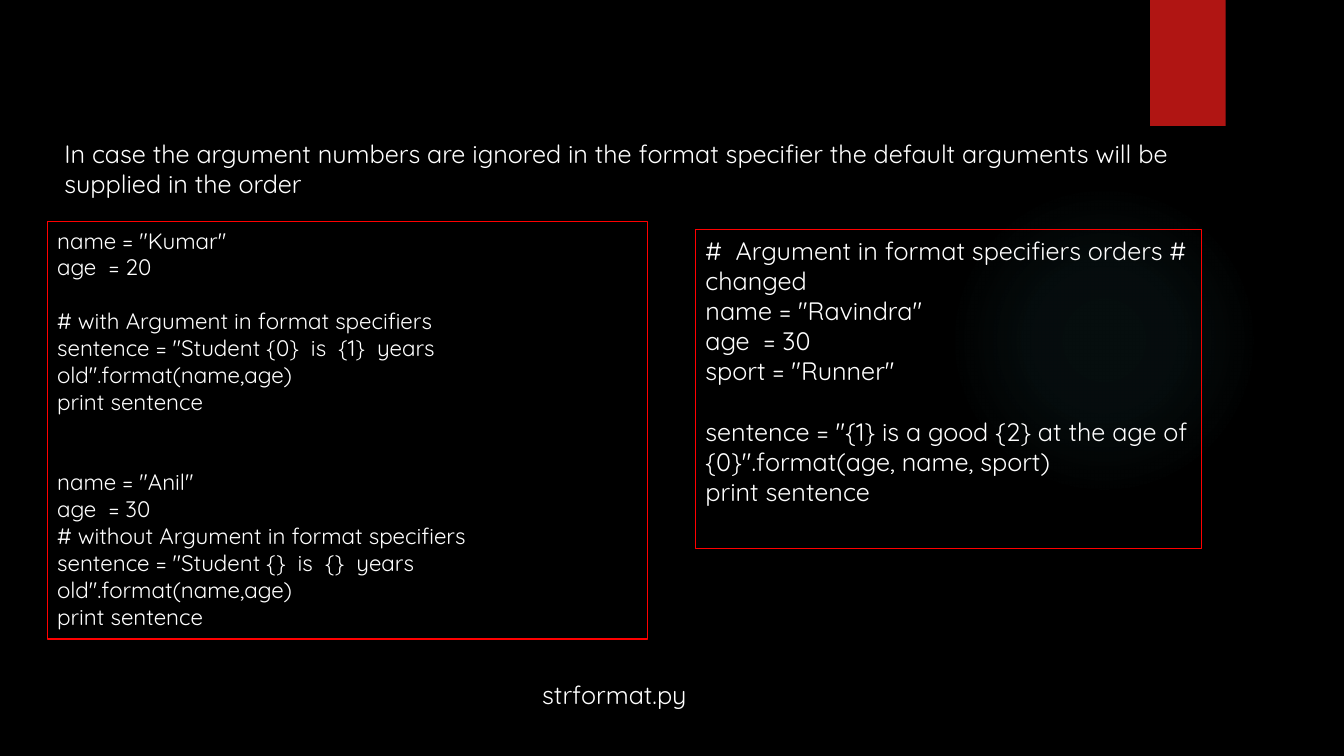
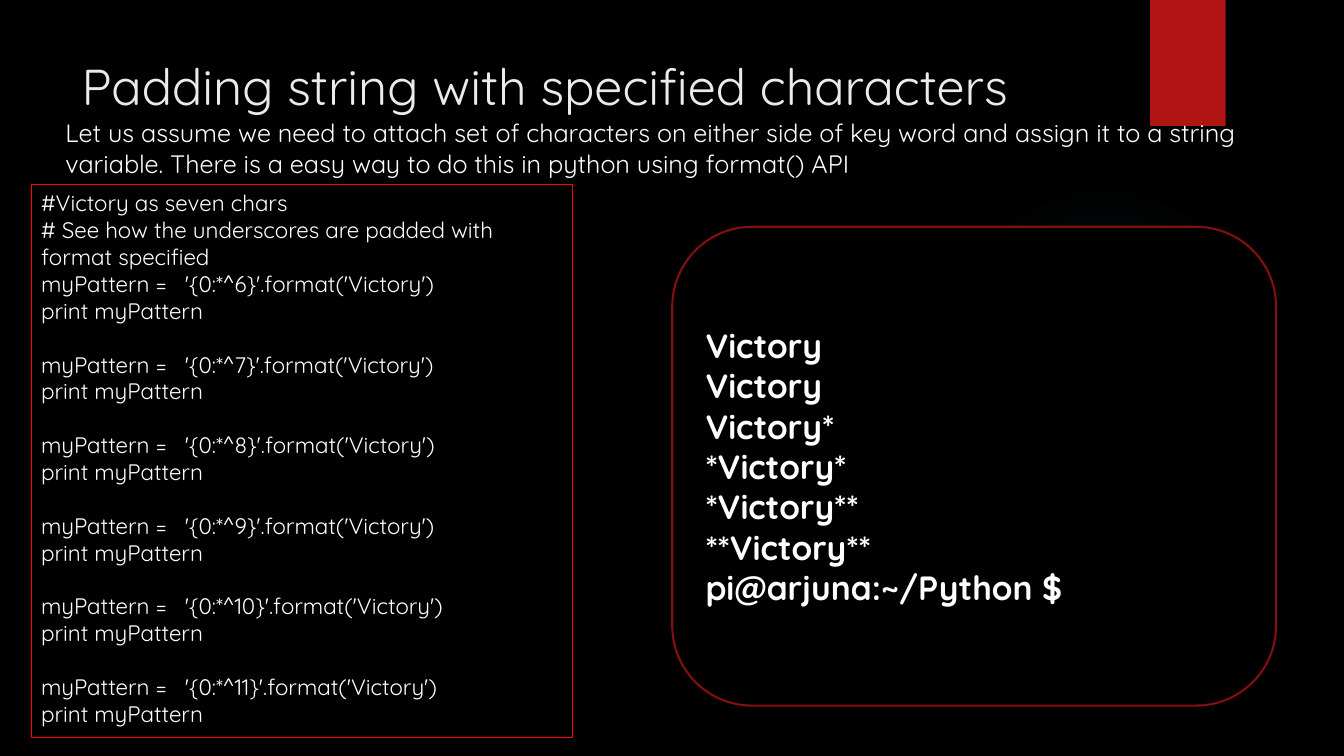
"""Build two slides on Python string formatting and padding."""
import pptx
import pptx.util
import pptx.dml.color
import pptx.enum.shapes
import pptx.enum.text
import pptx.oxml

Pt = pptx.util.Pt
KIND = pptx.enum.shapes.MSO_SHAPE
ANCHOR = pptx.enum.text.MSO_ANCHOR
ALIGN = pptx.enum.text.PP_ALIGN
FONT = "Quicksand"
LEAD = 1.2
HUES = {"back": "000000", "text": "FFFFFF", "title": "EBEBEB", "band": "B01513",
        "glow": "50B9C1", "code": "FF0000", "frame": "82100E"}
BAND = (821.5, 0, 54, 90)
GLOW = (677.5, 131.8, 221.8, 221.8)
STOPS = [(0, 7), (36, 6), (69, 0)]

ORDER = "In case the argument numbers are ignored in the format specifier the default arguments will be supplied in the order"
FILE = "strformat.py"
TITLE = "Padding string with specified characters"
INTRO = ("Let us assume we need to attach set of characters on either side of key word and assign it "
         "to a string variable. There is a easy way to do this in python using format() API")

# Each block holds the number of empty lines above it and its own lines.
STUDENT = [
    (0, ['name = "Kumar"', "age  = 20"]),
    (1, ["# with Argument in format specifiers",
         'sentence = "Student {0}  is  {1}  years old".format(name,age)',
         "print sentence"]),
    (2, ['name = "Anil"', "age  = 30",
         "# without Argument in format specifiers",
         'sentence = "Student {}  is  {}  years old".format(name,age)',
         "print sentence"]),
]
RUNNER = [
    (0, ["#  Argument in format specifiers orders # changed",
         'name = "Ravindra"', "age  = 30", 'sport = "Runner"']),
    (1, ['sentence = "{1} is a good {2} at the age of {0}".format(age, name, sport)',
         "print sentence"]),
]
NOTES = ["#Victory as seven chars",
         "# See how the underscores are padded with format specified"]
PADS = [(0, NOTES)] + [
    (int(size > 6), [f"myPattern =   '{{0:*^{size}}}'.format('Victory')", "print myPattern"])
    for size in range(6, 12)
]
RESULT = [(0, ["Victory", "Victory", "Victory*", "*Victory*", "*Victory**", "**Victory**",
               "pi@arjuna:~/Python $"])]


def color(name):
    return pptx.dml.color.RGBColor.from_string(HUES[name])


def paint(fill, name):
    fill.solid()
    fill.fore_color.rgb = color(name)


def write(frame, blocks, size, hue="text", bold=False, anchor=ANCHOR.TOP):
    frame.word_wrap = True
    frame.auto_size = pptx.enum.text.MSO_AUTO_SIZE.NONE
    frame.vertical_anchor = anchor
    rows = [(gap if spot == 0 else 0, line)
            for gap, lines in blocks for spot, line in enumerate(lines)]
    frame.text = "\n".join(line for gap, line in rows)
    for par, (gap, line) in zip(frame.paragraphs, rows):
        par.alignment = ALIGN.LEFT
        par.space_before = Pt(round(gap * size * LEAD, 2))
        for run in par.runs:
            run.font.name = FONT
            run.font.size = Pt(size)
            run.font.bold = bold
            run.font.color.rgb = color(hue)


def shape(slide, kind, box, fill=None, line=None, width=0.75):
    item = slide.shapes.add_shape(kind, *map(Pt, box))
    item.shadow.inherit = False
    if fill:
        paint(item.fill, fill)
    else:
        item.fill.background()
    if line:
        item.line.color.rgb = color(line)
        item.line.width = Pt(width)
    else:
        item.line.fill.background()
    return item


def label(slide, box, text):
    item = slide.shapes.add_textbox(*map(Pt, box))
    write(item.text_frame, [(0, [text])], 18)


def code(slide, box, blocks, size):
    write(shape(slide, KIND.RECTANGLE, box, line="code").text_frame, blocks, size)


def glow(slide):
    item = shape(slide, KIND.OVAL, GLOW)
    stops = "".join(
        f'<a:gs pos="{pos * 1000}"><a:srgbClr val="{HUES["glow"]}">'
        f'<a:alpha val="{alpha * 1000}"/></a:srgbClr></a:gs>' for pos, alpha in STOPS)
    grad = pptx.oxml.parse_xml(
        '<a:gradFill xmlns:a="http://schemas.openxmlformats.org/drawingml/2006/main">'
        f'<a:gsLst>{stops}</a:gsLst><a:path path="circle">'
        '<a:fillToRect l="50000" t="50000" r="50000" b="50000"/></a:path></a:gradFill>')
    props = item.element.spPr
    props.replace(props.find(pptx.oxml.ns.qn("a:noFill")), grad)


def start(deck, layout):
    slide = deck.slides.add_slide(deck.slide_layouts[layout])
    glow(slide)
    shape(slide, KIND.RECTANGLE, BAND, fill="band")
    return slide


def order(deck):
    slide = start(deck, 6)
    label(slide, (38.9, 95, 849.6, 51.1), ORDER)
    code(slide, (33.8, 158.4, 429.1, 298.1), STUDENT, 16)
    code(slide, (496.8, 164.2, 361.4, 227.5), RUNNER, 18)
    label(slide, (380.2, 481.7, 226.1, 28.8), FILE)


def padding(deck):
    slide = start(deck, 5)
    title = slide.shapes.title
    title.left, title.top, title.width, title.height = map(Pt, (51.1, 36, 740.9, 57.6))
    write(title.text_frame, [(0, [TITLE])], 36, hue="title")
    label(slide, (39.6, 80.6, 897.1, 51.1), INTRO)
    code(slide, (22.3, 131.8, 386.6, 395.3), PADS, 16)
    panel = shape(slide, KIND.ROUNDED_RECTANGLE, (480.2, 162, 431.3, 342),
                  fill="back", line="frame", width=1.5)
    write(panel.text_frame, RESULT, 24, bold=True, anchor=ANCHOR.MIDDLE)


deck = pptx.Presentation()
deck.slide_width, deck.slide_height = Pt(960), Pt(540)
paint(deck.slide_master.background.fill, "back")
order(deck)
padding(deck)
deck.save("out.pptx")
